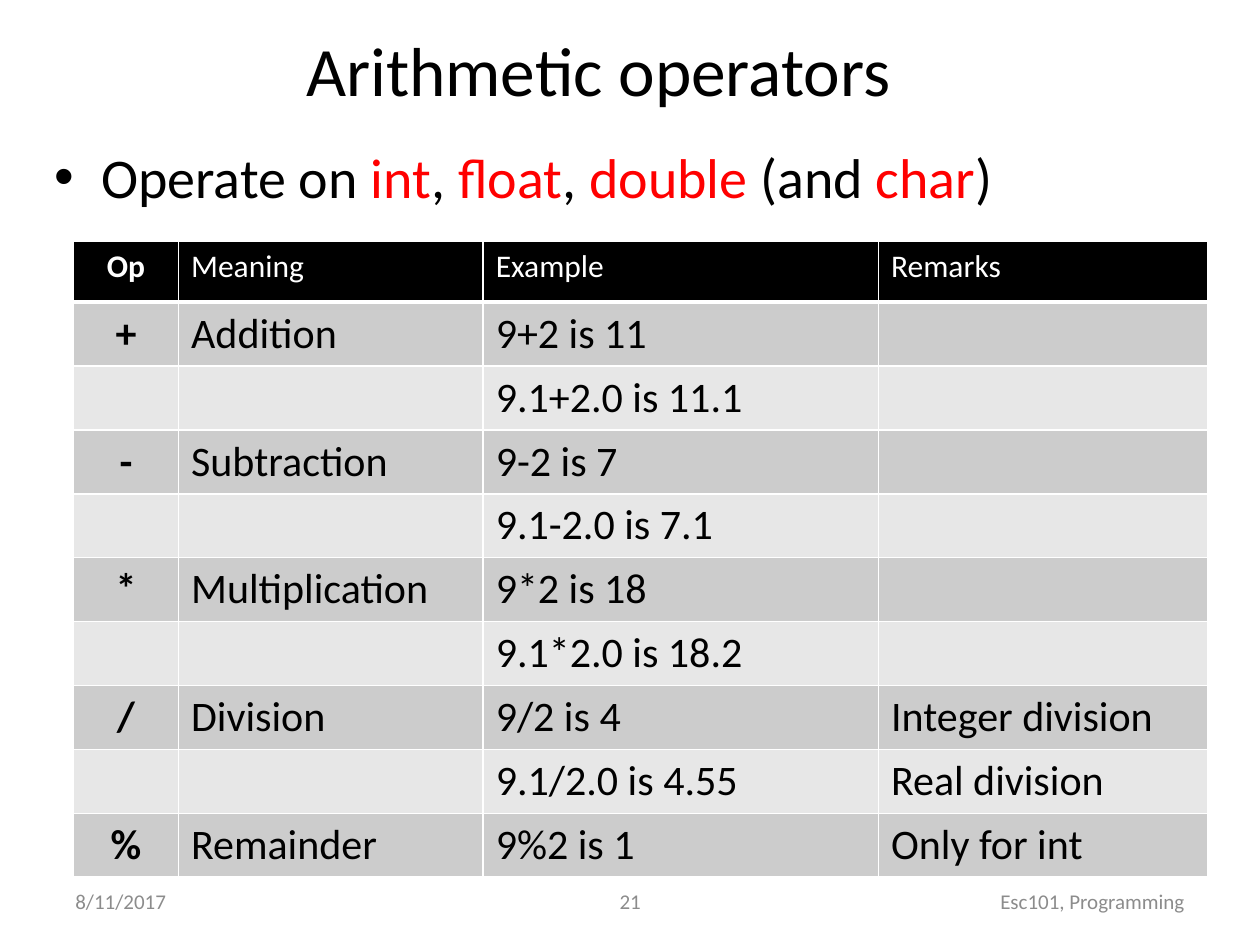
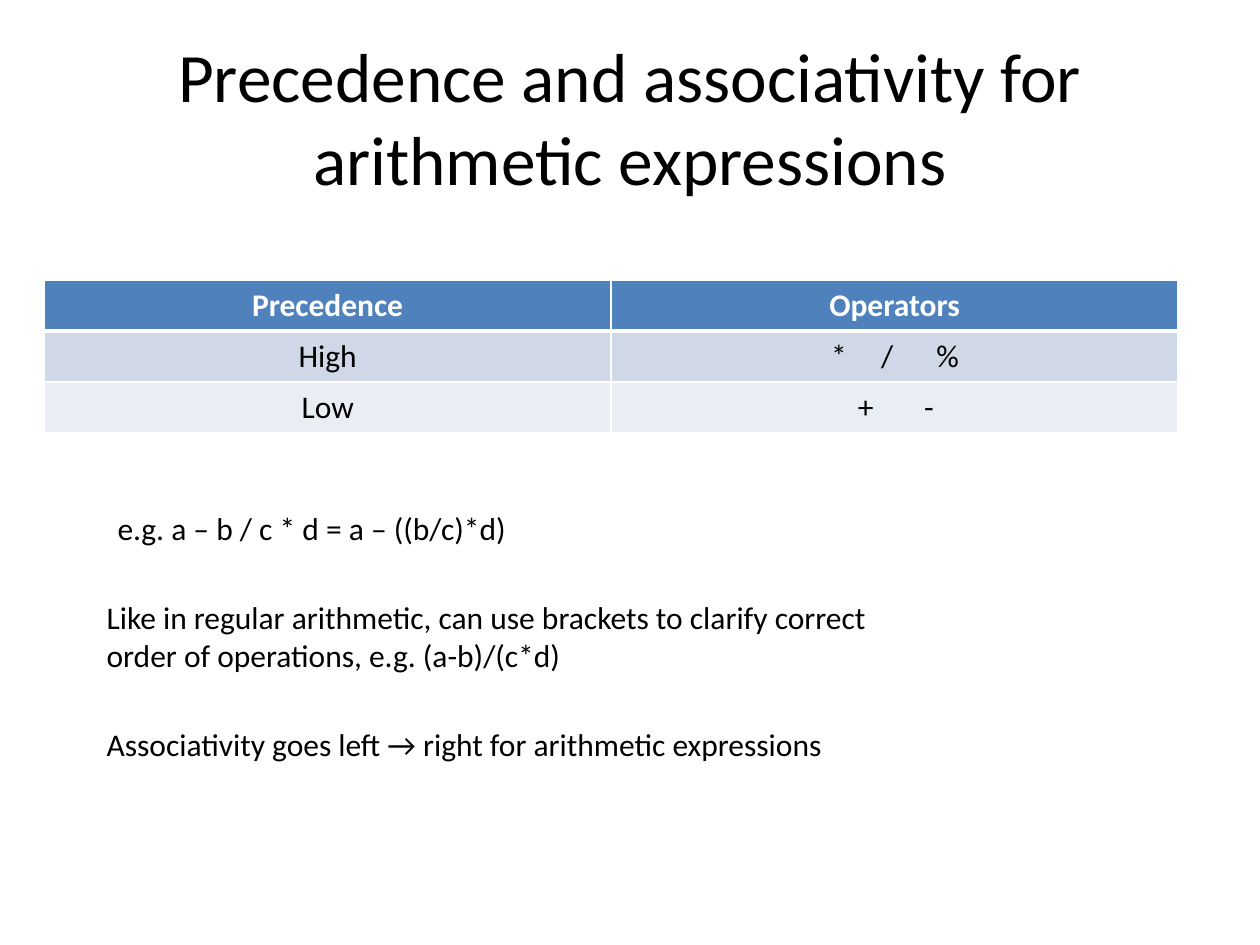
"""Builds two slides on arithmetic operators and their precedence."""
from lxml import etree
from pptx import Presentation
from pptx.dml.color import RGBColor
from pptx.enum.text import MSO_ANCHOR, MSO_AUTO_SIZE, PP_ALIGN
from pptx.oxml.ns import qn
from pptx.util import Cm, Pt

LEFT, CENTER, RIGHT = PP_ALIGN.LEFT, PP_ALIGN.CENTER, PP_ALIGN.RIGHT
TOP, MIDDLE = MSO_ANCHOR.TOP, MSO_ANCHOR.MIDDLE
FIXED, GROW = MSO_AUTO_SIZE.NONE, MSO_AUTO_SIZE.SHAPE_TO_FIT_TEXT
TITLE_ONLY = 5

COLORS = {
    "text": "000000", "white": "FFFFFF", "keyword": "FF0000", "footer": "8C8C8C",
    "black": "000000", "gray": "CCCCCC", "light_gray": "E7E7E7",
    "blue": "4F81BD", "pale_blue": "D0D8E8", "light_blue": "E9EDF4",
}


class Deck:
    def __init__(self):
        self.presentation = Presentation()
        self.presentation.slide_width = Cm(25.4)
        self.presentation.slide_height = Cm(19.05)
        self.font = "Calibri"
        self.slide = None

    def color(self, name):
        return RGBColor.from_string(COLORS[name])

    def add_run(self, paragraph, text, size, color="text", bold=False):
        run = paragraph.add_run()
        run.text = text
        run.font.name = self.font
        run.font.size = Pt(size)
        run.font.bold = bold
        run.font.color.rgb = self.color(color)

    def place(self, shape, left, top, width, height, anchor, auto_size):
        shape.left, shape.top = Cm(left), Cm(top)
        shape.width, shape.height = Cm(width), Cm(height)
        frame = shape.text_frame
        frame.word_wrap = True
        frame.auto_size = auto_size
        frame.vertical_anchor = anchor
        return frame.paragraphs[0]

    def add_slide(self, title, *box):
        layout = self.presentation.slide_layouts[TITLE_ONLY]
        self.slide = self.presentation.slides.add_slide(layout)
        paragraph = self.place(self.slide.shapes.title, *box, MIDDLE, FIXED)
        paragraph.alignment = CENTER
        self.add_run(paragraph, title, 39.6)

    def add_text(self, runs, box, size=18, alignment=LEFT, anchor=TOP,
                 auto_size=GROW, bullet=False):
        shape = self.slide.shapes.add_textbox(0, 0, 0, 0)
        paragraph = self.place(shape, *box, anchor, auto_size)
        paragraph.alignment = alignment
        if bullet:
            properties = paragraph._p.get_or_add_pPr()
            properties.set("marL", str(Cm(0.95)))
            properties.set("indent", str(-Cm(0.95)))
            etree.SubElement(properties, qn("a:buFont"), typeface="Arial")
            etree.SubElement(properties, qn("a:buChar"), char="•")
        for text, color in runs:
            self.add_run(paragraph, text, size, color)

    def add_footer(self, date, number, course):
        for text, left, width, alignment in (
            (date, 1.27, 5.92, LEFT),
            (number, 8.68, 8.05, CENTER),
            (course, 18.21, 5.92, RIGHT),
        ):
            self.add_text([(text, "footer")], (left, 17.65, width, 1.02), 12,
                          alignment, MIDDLE, FIXED)

    def add_borders(self, cell, top, bottom):
        properties = cell._tc.get_or_add_tcPr()
        for side, width in (("L", 1), ("R", 1), ("T", top), ("B", bottom)):
            line = etree.SubElement(properties, qn(f"a:ln{side}"), w=str(Pt(width)))
            fill = etree.SubElement(line, qn("a:solidFill"))
            etree.SubElement(fill, qn("a:srgbClr"), val=COLORS["white"])

    def add_tabs(self, paragraph, stops):
        properties = paragraph._p.get_or_add_pPr()
        tabs = etree.SubElement(properties, qn("a:tabLst"))
        for stop in stops:
            etree.SubElement(tabs, qn("a:tab"), pos=str(Cm(stop)), algn="ctr")

    def add_table(self, rows, left, top, widths, row_height, fills, size,
                  centered, bold=(), rule=1, tabs=None):
        frame = self.slide.shapes.add_table(
            len(rows), len(widths), Cm(left), Cm(top),
            Cm(sum(widths)), Cm(row_height * len(rows)))
        table = frame.table
        for column, width in zip(table.columns, widths):
            column.width = Cm(width)
        header_fill, *bands = fills
        for row_index, row in enumerate(rows):
            table.rows[row_index].height = Cm(row_height)
            header = row_index == 0
            fill = header_fill if header else bands[(row_index - 1) % len(bands)]
            for column_index, text in enumerate(row):
                cell = table.cell(row_index, column_index)
                self.add_borders(cell, rule if row_index == 1 else 1,
                                 3 if header else 1)
                cell.fill.solid()
                cell.fill.fore_color.rgb = self.color(fill)
                if not text:
                    continue
                paragraph = cell.text_frame.paragraphs[0]
                stops = (tabs or {}).get(text)
                if stops:
                    self.add_tabs(paragraph, stops)
                elif column_index in centered:
                    paragraph.alignment = CENTER
                self.add_run(paragraph, text, 18 if header else size,
                             "white" if header else "text",
                             column_index in (bold if not header else bold or centered))


def build_operators(deck):
    deck.add_slide("Arithmetic operators", 1.27, 0.43, 21.59, 1.9)
    deck.add_text(
        [("Operate on ", "text"), ("int", "keyword"), (", ", "text"),
         ("float", "keyword"), (", ", "text"), ("double", "keyword"),
         (" (and ", "text"), ("char", "keyword"), (")", "text")],
        (0.84, 2.74, 24.13, 11.43), size=32, auto_size=FIXED, bullet=True)
    deck.add_footer("8/11/2017", "21", "Esc101, Programming")
    rows = [
        ("Op", "Meaning", "Example", "Remarks"),
        ("+", "Addition", "9+2 is 11", ""),
        ("", "", "9.1+2.0 is 11.1", ""),
        ("-", "Subtraction", "9-2 is 7", ""),
        ("", "", "9.1-2.0 is 7.1", ""),
        ("*", "Multiplication", "9*2 is 18", ""),
        ("", "", "9.1*2.0 is 18.2", ""),
        ("/", "Division", "9/2 is 4", "Integer division"),
        ("", "", "9.1/2.0 is 4.55", "Real division"),
        ("%", "Remainder", "9%2 is 1", "Only for int"),
    ]
    deck.add_table(rows, 1.48, 4.87, (2.12, 6.14, 7.97, 6.63), 1.22,
                   ("black", "gray", "light_gray"), 24, centered=(0,), bold=(0,))


def build_precedence(deck):
    deck.add_slide("Precedence and associativity for arithmetic expressions",
                   1.27, 0.76, 22.86, 3.18)
    high, low = "\t*\t/\t%", "\t+\t-"
    rows = [("Precedence", "Operators"), ("High", high), ("Low", low)]
    deck.add_table(rows, 0.89, 5.64, (11.43, 11.43), 1.03,
                   ("blue", "pale_blue", "light_blue"), 18, centered=(0, 1), rule=3,
                   tabs={high: (4.34, 5.31, 6.53), low: (4.88, 6.15)})
    for text, *box in (
        ("Associativity goes left → right for arithmetic expressions",
         1.9, 14.5, 18.21, 1.02),
        ("e.g. a – b / c * d = a – ((b/c)*d)", 2.12, 10.13, 13.59, 1.02),
        ("Like in regular arithmetic, can use brackets to clarify correct "
         "order of operations, e.g. (a-b)/(c*d)", 1.9, 11.94, 16.79, 1.8),
    ):
        deck.add_text([(text, "text")], box)


def main():
    deck = Deck()
    build_operators(deck)
    build_precedence(deck)
    deck.presentation.save("out.pptx")


if __name__ == "__main__":
    main()
